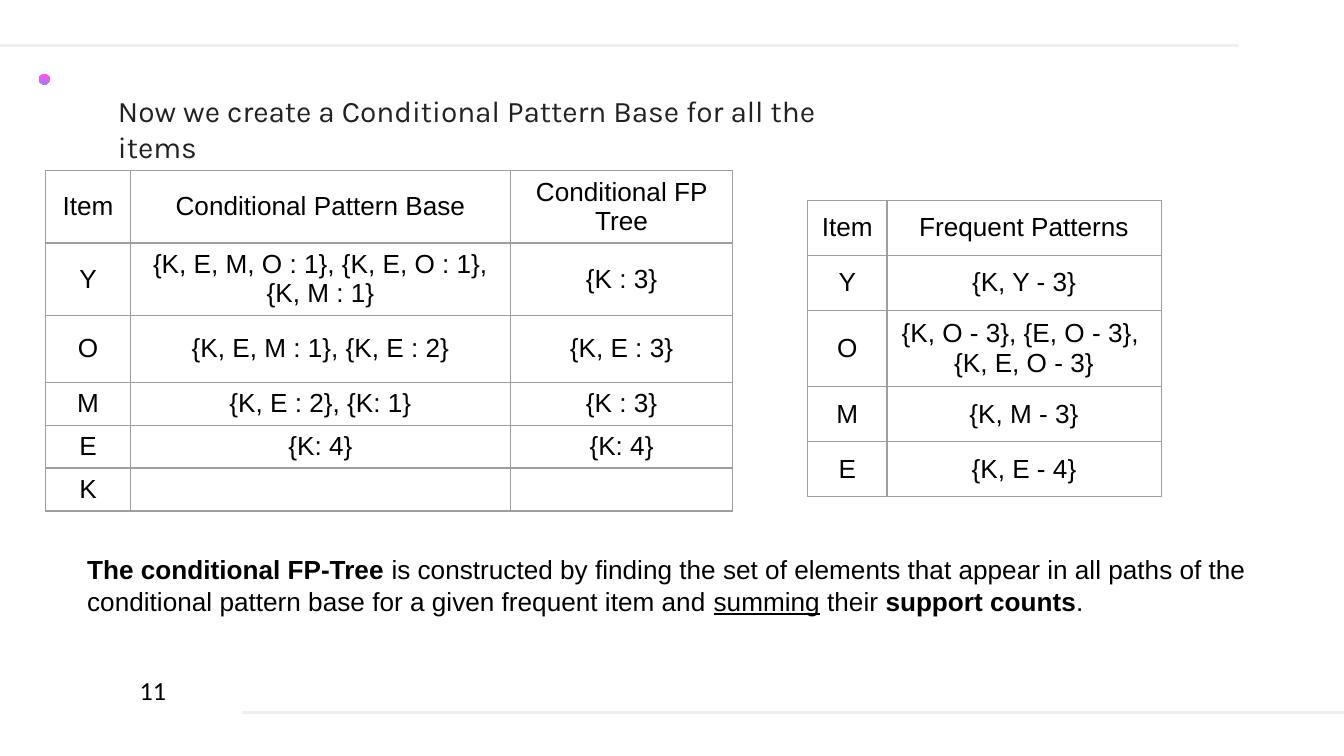
from lxml import etree
from pptx import Presentation
from pptx.dml.color import RGBColor
from pptx.enum import shapes, text
from pptx.oxml import ns
from pptx.util import Inches, Pt

GREY, BLACK = "9E9E9E", "000000"

BASES = [
    ["Item", "Conditional Pattern Base", "Conditional FP Tree"],
    ["Y", "{K, E, M, O : 1}, {K, E, O : 1},\n{K, M : 1}", "{K : 3}"],
    ["O", "{K, E, M : 1}, {K, E : 2}", "{K, E : 3}"],
    ["M", "{K, E : 2}, {K: 1}", "{K : 3}"],
    ["E", "{K: 4}", "{K: 4}"],
    ["K", "", ""],
]
PATTERNS = [
    ["Item", "Frequent Patterns"],
    ["Y", "{K, Y - 3}"],
    ["O", "{K, O - 3}, {E, O - 3}, \n{K, E, O - 3}"],
    ["M", "{K, M - 3}"],
    ["E", "{K, E - 4}"],
]
NOTE = [
    ("The conditional FP-Tree ", "b"),
    ("is constructed by finding the set of elements that appear in all paths "
     "of the conditional pattern base for a given frequent item and ", ""),
    ("summing", "u"),
    (" their ", ""),
    ("support counts", "b"),
    (".", ""),
]


def color(code):
    return RGBColor.from_string(code)


def style(par, size=14, name="Arial", code=BLACK):
    font = par.font
    font.size, font.name = Pt(size), name
    font.color.rgb = color(code)


def add_rule(slide, left, right, y):
    line = slide.shapes.add_connector(
        shapes.MSO_CONNECTOR.STRAIGHT,
        Inches(left), Inches(y), Inches(right), Inches(y))
    line.line.color.rgb = color("EFEFEF")
    line.line.width = Pt(1.5)
    etree.SubElement(line._element.spPr, ns.qn("a:effectLst"))


def add_dot(slide, left, top, size):
    dot = slide.shapes.add_shape(
        shapes.MSO_SHAPE.OVAL,
        Inches(left), Inches(top), Inches(size), Inches(size))
    dot.shadow.inherit = False
    dot.line.fill.background()
    dot.fill.gradient()
    dot.fill.gradient_angle = 270
    for stop, code in zip(dot.fill.gradient_stops, ("FF52EC", "AC7BF6")):
        stop.color.rgb = color(code)


def add_text(slide, box, runs, **look):
    """Add a one-paragraph text box; runs pair wording with "b", "u" or ""."""
    frame = slide.shapes.add_textbox(*map(Inches, box)).text_frame
    frame.word_wrap = True
    par = frame.paragraphs[0]
    style(par, **look)
    for words, mark in runs:
        run = par.add_run()
        run.text = words
        if mark == "b":
            run.font.bold = True
        elif mark == "u":
            run.font.underline = True


def add_border(cell):
    """Draw all four sides; they must precede the fill in the cell XML."""
    props = cell._tc.get_or_add_tcPr()
    for spot, side in enumerate(("lnL", "lnR", "lnT", "lnB")):
        line = etree.Element(ns.qn(f"a:{side}"), w=str(Pt(0.75)))
        fill = etree.SubElement(line, ns.qn("a:solidFill"))
        etree.SubElement(fill, ns.qn("a:srgbClr"), val=GREY)
        props.insert(spot, line)


def fill_cell(cell, words):
    cell.text = words
    cell.fill.background()
    cell.vertical_anchor = text.MSO_ANCHOR.MIDDLE
    for par in cell.text_frame.paragraphs:
        par.alignment = text.PP_ALIGN.CENTER
        style(par)
        if not words:
            # Keeps an empty cell from growing its row
            par._p.get_or_add_endParaRPr().set("sz", "1400")
    add_border(cell)


def add_grid(slide, left, top, cols, rows, data):
    table = slide.shapes.add_table(
        len(rows), len(cols), Inches(left), Inches(top),
        Inches(sum(cols)), Inches(sum(rows))).table
    table.first_row = table.horz_banding = False
    for col, width in zip(table.columns, cols):
        col.width = Inches(width)
    for row, height, line in zip(table.rows, rows, data):
        row.height = Inches(height)
        for cell, words in zip(row.cells, line):
            fill_cell(cell, words)


def main():
    deck = Presentation()
    deck.slide_width = Inches(10)
    deck.slide_height = deck.slide_width * 9 // 16
    slide = deck.slides.add_slide(deck.slide_layouts[6])

    add_rule(slide, -0.23, 9.22, 0.34)
    add_rule(slide, 1.8, 10.04, 5.3)
    add_dot(slide, 0.29, 0.55, 0.08)

    add_grid(slide, 0.34, 1.27, [0.63, 2.83, 1.65],
             [0.5] * 3 + [0.31] * 3, BASES)
    title = "Now we create a Conditional Pattern Base for all the items"
    add_text(slide, (0.78, 0.64, 5.87, 0.37), [(title, "")],
             size=16, name="Karla", code="222222")
    add_text(slide, (0.55, 4.07, 8.91, 0.57), NOTE)
    add_grid(slide, 6.01, 1.49, [0.59, 2.04], [0.41] * 5, PATTERNS)
    add_text(slide, (0.94, 4.97, 0.92, 0.34), [("11", "")], name="Calibri")

    deck.save("out.pptx")


if __name__ == "__main__":
    main()
